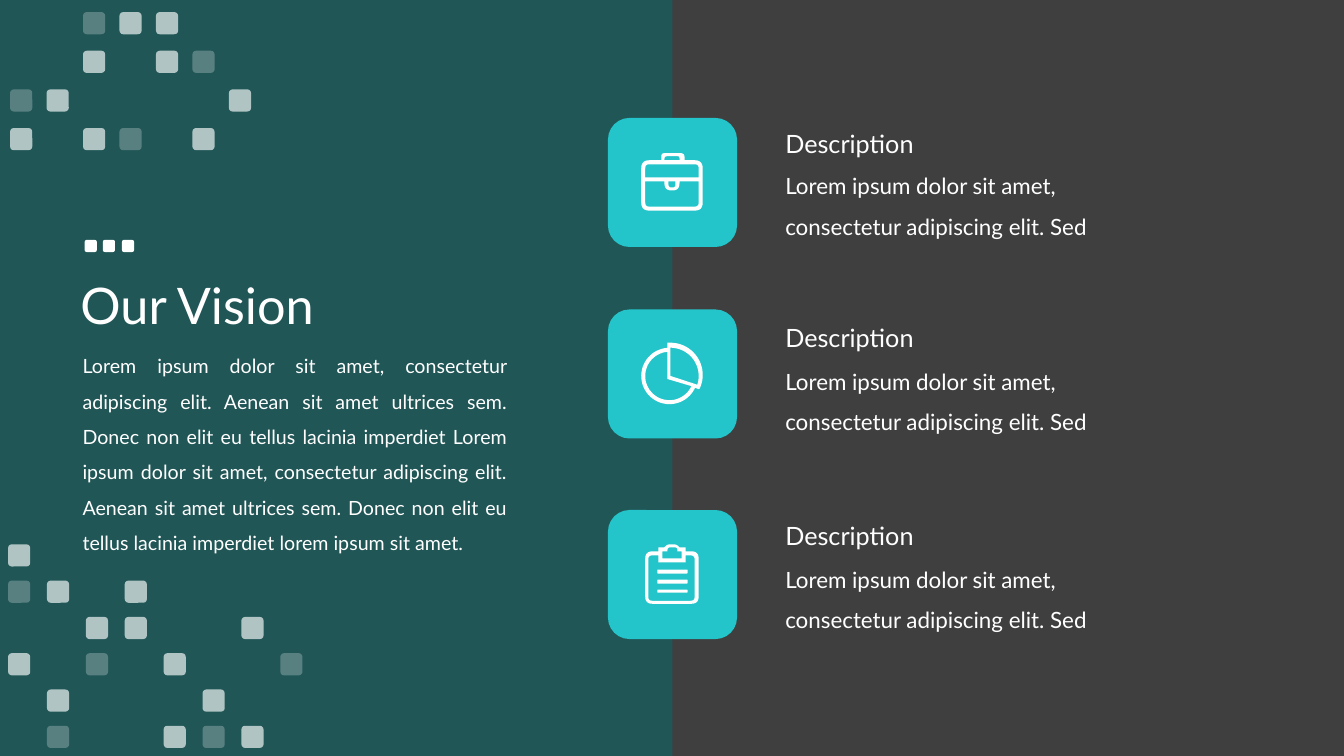
from dataclasses import dataclass
from math import cos, dist, radians, sin
from typing import NamedTuple

from lxml.etree import SubElement
from pptx import Presentation
from pptx.dml.color import RGBColor
from pptx.enum.shapes import MSO_SHAPE as Preset
from pptx.enum.text import MSO_ANCHOR as Anchor, MSO_AUTO_SIZE as AutoSize, PP_ALIGN as Align
from pptx.oxml.ns import qn
from pptx.util import Emu, Pt

PX = 9144
COLORS = {"panel": "126365", "tile": "23C5CA", "white": "FFFFFF", "page": "3F3F3F"}
FONT = "Lato"


class Corner(NamedTuple):
    x: float
    y: float
    radius: float = 0


class Area(NamedTuple):
    left: int
    top: int
    width: int
    height: int


@dataclass(frozen=True)
class Label:
    area: Area
    text: str
    size: int
    paragraph: dict
    frame: dict


@dataclass(frozen=True)
class Mosaic:
    first: tuple[int, int]
    last: tuple[int, int]
    rows: tuple[str, ...]


@dataclass(frozen=True)
class Item:
    tile_top: int
    heading_top: int
    body_top: int
    icon: list


def px(length: float) -> Emu:
    return Emu(round(length * PX))


def rgb(name: str) -> RGBColor:
    return RGBColor.from_string(COLORS[name])


def paint(shape, color: str, opacity: int = 100) -> None:
    shape.shadow.inherit = False
    shape.fill.solid()
    shape.fill.fore_color.rgb = rgb(color)
    shape.line.fill.background()
    if opacity < 100:
        tint = shape.element.spPr.find(".//" + qn("a:srgbClr"))
        SubElement(tint, qn("a:alpha")).set("val", str(opacity * 1000))


def add_block(shapes, preset, area: tuple, color: str, opacity: int = 100) -> None:
    paint(shapes.add_shape(preset, *map(px, area)), color, opacity)


def add_label(page, label: Label) -> None:
    frame = page.shapes.add_textbox(*map(px, label.area)).text_frame
    for name, value in {"word_wrap": True, **label.frame}.items():
        setattr(frame, name, value)
    para = frame.paragraphs[0]
    for name, value in label.paragraph.items():
        setattr(para, name, value)
    span = para.add_run()
    span.text = label.text
    for name, value in {"name": FONT, "size": Pt(label.size)}.items():
        setattr(span.font, name, value)
    span.font.color.rgb = rgb("white")


def add_mosaic(page, mosaic: Mosaic) -> None:
    group = page.shapes.add_group_shape()
    (left, top), (right, bottom) = mosaic.first, mosaic.last
    step_x = (right - left) / (len(mosaic.rows[0]) - 1)
    step_y = (bottom - top) / (len(mosaic.rows) - 1)
    for row, marks in enumerate(mosaic.rows):
        for column, mark in enumerate(marks):
            if mark != ".":
                area = (left + column * step_x, top + row * step_y, 22, 22)
                add_block(group.shapes, Preset.ROUNDED_RECTANGLE, area, "white", OPACITY[mark])


def arc(x: int, y: int, radius: int, start: int, end: int) -> list:
    angles = [radians(start + (end - start) * i / 40) for i in range(41)]
    return [Corner(x + radius * cos(a), y + radius * sin(a)) for a in angles]


def bar(top: int, bottom: int) -> list:
    return [(652, top, 1), (682, top, 1), (682, bottom, 1), (652, bottom, 1)]


def toward(corner: Corner, other: Corner) -> tuple[float, float]:
    share = corner.radius / dist(corner[:2], other[:2])
    return corner.x + (other.x - corner.x) * share, corner.y + (other.y - corner.y) * share


def outline(contour: list) -> list:
    corners = [Corner(*corner) for corner in contour]
    points = []
    for i, corner in enumerate(corners):
        if not corner.radius:
            points.append((corner.x, corner.y))
            continue
        start = toward(corner, corners[i - 1])
        end = toward(corner, corners[(i + 1) % len(corners)])
        for t in (k / 6 for k in range(7)):
            points.append(tuple((1 - t) ** 2 * a + 2 * t * (1 - t) * c + t * t * b
                                for a, c, b in zip(start, corner[:2], end)))
    return [(x * 10, y * 10) for x, y in points]


def add_icon(page, contours: list) -> None:
    first, *others = [outline(contour) for contour in contours]
    builder = page.shapes.build_freeform(*first[0], scale=PX / 10)
    builder.add_line_segments(first[1:], close=True)
    for points in others:
        builder.move_to(*points[0])
        builder.add_line_segments(points[1:], close=True)
    paint(builder.convert_to_shape(), "white")


OPACITY = {"#": 65, "o": 25}
GROW = {"auto_size": AutoSize.SHAPE_TO_FIT_TEXT}
MOSAICS = [
    Mosaic((8, 540), (278, 720),
           ("#.......", "o#.#....", "..##..#.", "#.o.#..o", ".#...#..", ".o..#o#.")),
    Mosaic((10, 12), (227, 127), ("..o##..", "..#.#o.", "o#....#", "#.#o.#.")),
]
BRIEFCASE = [
    [(636, 159, 8), (656, 159), (656, 152, 3), (679, 152, 4), (679, 159),
     (697, 159, 8), (697, 209, 8), (636, 209, 8)],
    [(659, 159), (659, 155, 3), (674, 155, 2), (674, 159)],
    [(640, 180), (659, 180), (659, 189, 7), (674, 189, 7), (674, 180),
     (693, 180), (693, 205, 4), (640, 205, 4)],
    [(663, 180), (670, 180), (670, 186, 3), (663, 186, 3)],
    [(640, 176), (640, 163, 4), (693, 163, 4), (693, 176)],
]
PIE = [
    [(662, 340), *arc(664, 373, 28, 266, 25), (693, 386), *arc(665, 372, 32, 25, -90)],
    [*arc(664, 373, 24, 265, 25), (662, 376)],
    [(665, 373), *arc(665, 373, 28, -90, 18)],
]
CLIPBOARD = [
    [(640, 547, 7), (653, 547), (653, 543), (659, 543), (662, 540, 3), (671, 540, 3),
     (674, 543), (680, 543), (680, 547), (693, 547, 7), (693, 599, 7), (640, 599, 7)],
    [(657, 547), (662, 547), (662, 543, 3), (672, 543, 3), (672, 547),
     (676, 547), (676, 554), (657, 554)],
    [(643, 551, 4), (653, 551), (653, 558), (680, 558), (680, 551),
     (689, 551, 4), (689, 596, 4), (643, 596, 4)],
    bar(565, 569), bar(575, 579), bar(585, 588),
]
ITEMS = [
    Item(117, 122, 153, BRIEFCASE),
    Item(307, 315, 347, PIE),
    Item(506, 511, 543, CLIPBOARD),
]
VISION = (
    "Lorem ipsum dolor sit amet, consectetur adipiscing elit. Aenean sit amet ultrices sem. "
    "Donec non elit eu tellus lacinia imperdiet Lorem ipsum dolor sit amet, consectetur "
    "adipiscing elit. Aenean sit amet ultrices sem. Donec non elit eu tellus lacinia "
    "imperdiet lorem ipsum sit amet."
)
SUMMARY = "Lorem ipsum dolor sit amet, consectetur adipiscing elit. Sed"


def main() -> None:
    deck = Presentation()
    deck.slide_width, deck.slide_height = px(1333), px(750)
    page = deck.slides.add_slide(deck.slide_layouts[6])
    page.background.fill.solid()
    page.background.fill.fore_color.rgb = rgb("page")

    add_block(page.shapes, Preset.RECTANGLE, Area(0, 0, 667, 750), "panel", 65)
    add_label(page, Label(Area(70, 222, 1150, 167), "Our Vision", 36,
                          {"line_spacing": 0.9}, {"vertical_anchor": Anchor.MIDDLE}))
    add_label(page, Label(Area(72, 335, 441, 217), VISION, 14,
                          {"line_spacing": 1.5, "alignment": Align.JUSTIFY}, GROW))
    dots = page.shapes.add_group_shape()
    for left in (84, 102, 121):
        add_block(dots.shapes, Preset.ROUNDED_RECTANGLE, Area(left, 238, 12, 12), "white")
    for mosaic in MOSAICS:
        add_mosaic(page, mosaic)
    for item in ITEMS:
        add_block(page.shapes, Preset.ROUNDED_RECTANGLE, Area(603, item.tile_top, 128, 128), "tile")
        add_icon(page, item.icon)
        add_label(page, Label(Area(769, item.body_top, 398, 86), SUMMARY, 16,
                              {"line_spacing": 1.5}, GROW))
        add_label(page, Label(Area(769, item.heading_top, 235, 40), "Description", 18, {}, GROW))
    deck.save("out.pptx")


if __name__ == "__main__":
    main()
